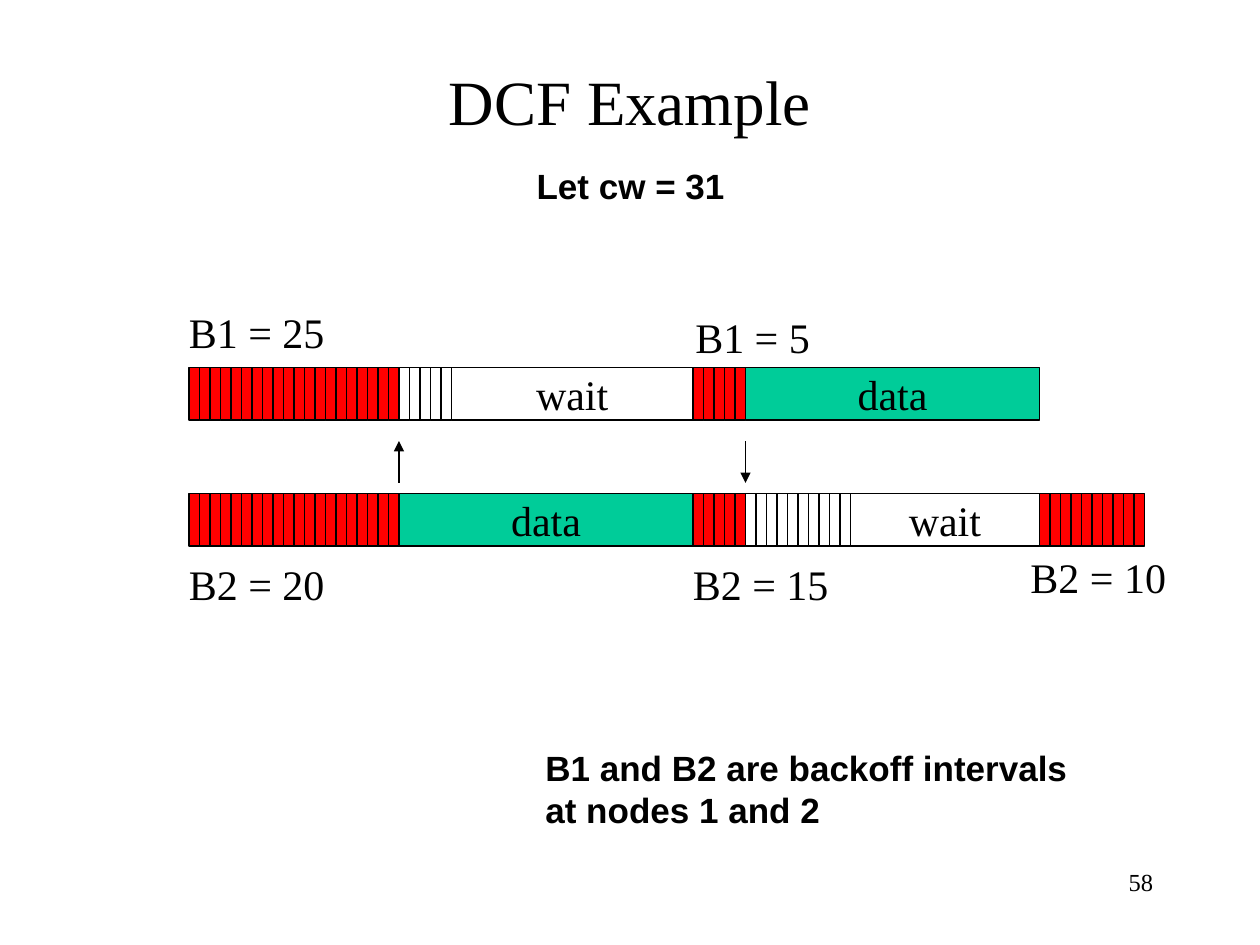
from lxml.etree import SubElement as Sub
from pptx import Presentation
from pptx.dml.color import RGBColor as RGB
from pptx.enum.shapes import MSO_CONNECTOR as Conn, MSO_SHAPE as Kind
from pptx.enum.text import MSO_ANCHOR as Anchor, PP_ALIGN as Align
from pptx.oxml.ns import qn
from pptx.util import Inches, Pt

BLACK = RGB(0, 0, 0)
RED = RGB(255, 0, 0)
GREEN = RGB(0, 204, 153)
SERIF, SANS = "Times New Roman", "Arial"
SLOT = Inches(1) // 12
LEFT = Inches(1.5)
TALL = 5 * SLOT

ROWS = [
    (35, [("tick", 20, RED), ("tick", 5, None), ("wait", 23, None),
          ("tick", 5, RED), ("data", 28, GREEN)]),
    (47, [("tick", 20, RED), ("data", 28, GREEN), ("tick", 5, RED),
          ("tick", 10, None), ("wait", 18, None), ("tick", 10, RED)]),
]
ARROWS = [(20, 46, 42), (53, 42, 46)]
TEXTS = [
    ("DCF Example", 0.75, 0.17, 8.5, 1.25, 36, SERIF, Align.CENTER, Anchor.MIDDLE),
    ("Let cw = 31", 4.13, 1.25, 1.75, 0.44, 20, SANS, Align.CENTER, Anchor.MIDDLE),
    ("B1 = 25", 1.4, 2.38, 1.35, 0.5, 24, SERIF, Align.LEFT, Anchor.TOP),
    ("B1 = 5", 5.42, 2.42, 1.2, 0.5, 24, SERIF, Align.LEFT, Anchor.TOP),
    ("B2 = 20", 1.4, 4.38, 1.35, 0.5, 24, SERIF, Align.LEFT, Anchor.TOP),
    ("B2 = 15", 5.4, 4.38, 1.35, 0.5, 24, SERIF, Align.LEFT, Anchor.TOP),
    ("B2 = 10", 8.08, 4.33, 1.35, 0.5, 24, SERIF, Align.LEFT, Anchor.TOP),
    ("B1 and B2 are backoff intervals\nat nodes 1 and 2",
     4.23, 5.87, 4.45, 0.77, 20, SANS, Align.LEFT, Anchor.MIDDLE),
    ("58", 7.17, 6.83, 2.08, 0.5, 14, SERIF, Align.RIGHT, Anchor.TOP),
]

deck = Presentation()
deck.slide_width, deck.slide_height = Inches(10), Inches(7.5)
slide = deck.slides.add_slide(deck.slide_layouts[6])
shapes = slide.shapes


def write(shape, text, size, face, align, anchor):
    frame = shape.text_frame
    frame.text = text
    frame.word_wrap = True
    frame.vertical_anchor = anchor
    for para in frame.paragraphs:
        para.alignment = align
        for run in para.runs:
            font = run.font
            font.size, font.name = Pt(size), face
            font.bold = face == SANS
            font.color.rgb = BLACK


def block(col, row, span, fill):
    box = shapes.add_shape(Kind.RECTANGLE, LEFT + col * SLOT, row * SLOT,
                           span * SLOT, TALL)
    box.shadow.inherit = False
    box.line.color.rgb, box.line.width = BLACK, Pt(0.75)
    if fill is None:
        box.fill.background()
    else:
        box.fill.solid()
        box.fill.fore_color.rgb = fill
    return box


def arrow(col, start, end):
    x = LEFT + col * SLOT
    line = shapes.add_connector(Conn.STRAIGHT, x, start * SLOT, x, end * SLOT)
    line.line.color.rgb, line.line.width = BLACK, Pt(0.75)
    Sub(line.line._get_or_add_ln(), qn("a:tailEnd"), type="triangle")
    Sub(line._element.spPr, qn("a:effectLst"))


for row, parts in ROWS:
    col = 0
    for name, span, fill in parts:
        if name == "tick":
            for step in range(span):
                block(col + step, row, 1, fill)
        else:
            write(block(col, row, span, fill), name, 24, SERIF,
                  Align.CENTER, Anchor.MIDDLE)
        col += span

for spot in ARROWS:
    arrow(*spot)

for text, x, y, wide, high, *style in TEXTS:
    area = [Inches(v) for v in (x, y, wide, high)]
    write(shapes.add_textbox(*area), text, *style)

deck.save("out.pptx")
